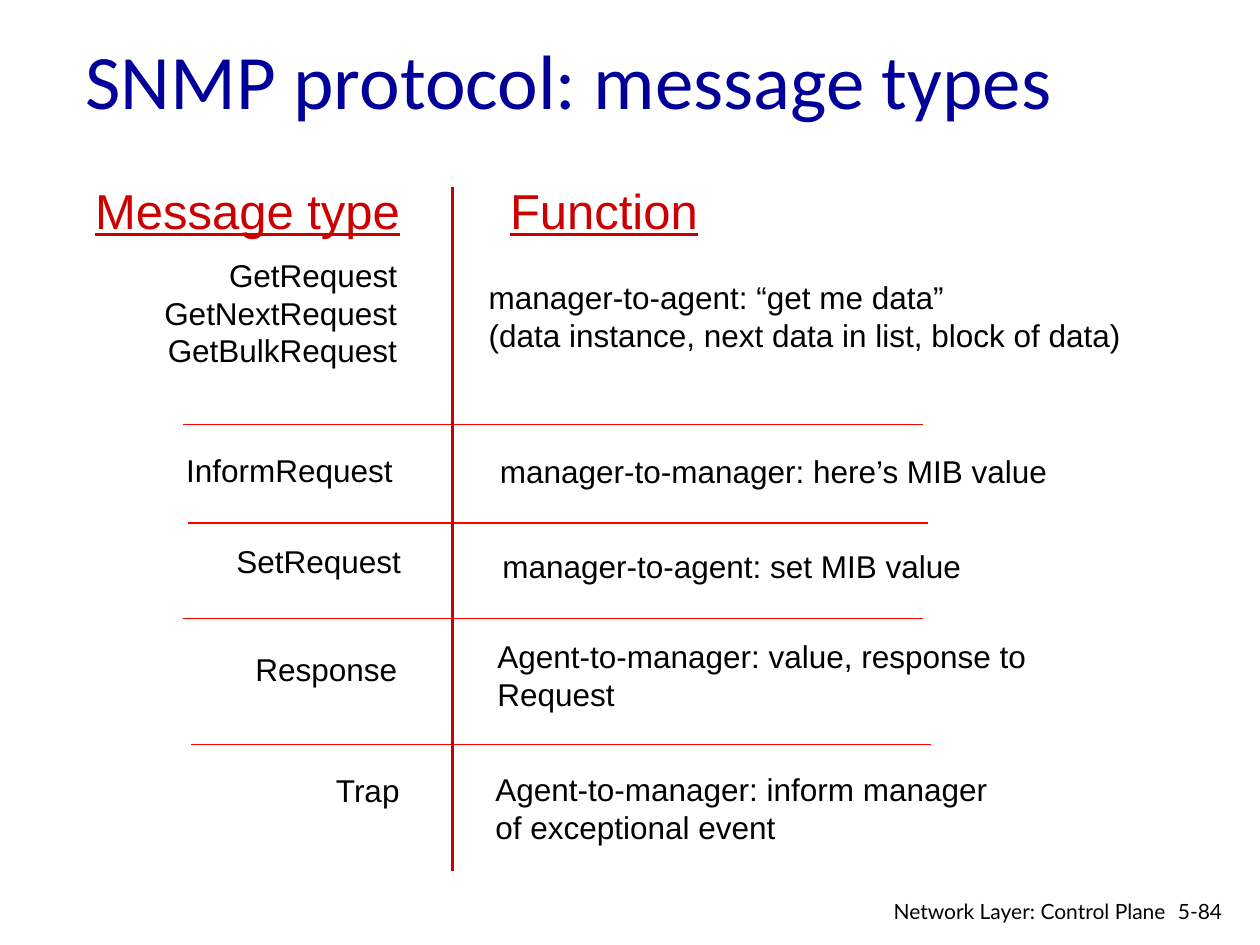
import pptx
import pptx.dml.color
import pptx.enum.shapes
import pptx.enum.text
import pptx.oxml.ns
import pptx.util
from lxml import etree

Pt = pptx.util.Pt
ALIGN = pptx.enum.text.PP_ALIGN
ANCHOR = pptx.enum.text.MSO_ANCHOR

COLORS = {
    "title": "000099",
    "heading": "CC0000",
    "body": "000000",
    "divider": "FF0000",
}


class SlideWriter:
    """Holds the current slide and its style."""

    def __init__(self, slide):
        self.slide = slide

    def color(self, name):
        return pptx.dml.color.RGBColor.from_string(COLORS[name])

    def text(self, lines, left, top, width, height, size=18, font="Arial",
             color="body", align=ALIGN.LEFT, anchor=ANCHOR.TOP, underline=None):
        box = self.slide.shapes.add_textbox(Pt(left), Pt(top), Pt(width), Pt(height))
        frame = box.text_frame
        frame.word_wrap = True
        frame.vertical_anchor = anchor
        frame.text = "\n".join(lines)
        for para in frame.paragraphs:
            para.alignment = align
            for span in para.runs:
                span.font.size = Pt(size)
                span.font.name = font
                span.font.underline = underline
                span.font.color.rgb = self.color(color)

    def heading(self, label, left, width, align):
        self.text([label], left, 99.4, width, 41, size=28, color="heading",
                  align=align, underline=True)

    def line(self, left, top, right, bottom, color, width):
        line = self.slide.shapes.add_connector(
            pptx.enum.shapes.MSO_CONNECTOR.STRAIGHT,
            Pt(left), Pt(top), Pt(right), Pt(bottom))
        line.line.color.rgb = self.color(color)
        line.line.width = Pt(width)
        etree.SubElement(line._element.spPr, pptx.oxml.ns.qn("a:effectLst"))


# Message lines, right edge, top; function lines, left edge, top, width
ROWS = [
    (["GetRequest", "GetNextRequest", "GetBulkRequest"], 234, 142.6,
     ["manager-to-agent: “get me data”",
      "(data instance, next data in list, block of data)"], 272.2, 155.5, 380),
    (["InformRequest"], 231.5, 254.2,
     ["manager-to-manager: here’s MIB value"], 278.6, 255, 355),
    (["SetRequest"], 236.2, 306,
     ["manager-to-agent: set MIB value"], 280, 309, 336),
    (["Response"], 234, 368,
     ["Agent-to-manager: value, response to", "Request"], 277.2, 360.7, 333),
    (["Trap"], 235.4, 437,
     ["Agent-to-manager: inform manager", "of exceptional event"], 276, 436.5, 377),
]
MESSAGE_WIDTH = 203
LINE_HEIGHT = 22

# Left end and height of each divider
DIVIDERS = [(104.6, 242.6), (107.3, 298.8), (104.6, 353.5), (109.2, 425.5)]
DIVIDER_LENGTH = 423


def main():
    deck = pptx.Presentation()
    deck.slide_width, deck.slide_height = Pt(720), Pt(540)
    page = SlideWriter(deck.slides.add_slide(deck.slide_layouts[6]))

    # Title and column headings
    page.text(["SNMP protocol: message types"], 41.8, 0, 612, 90, size=44,
              font="Calibri", color="title", anchor=ANCHOR.MIDDLE)
    page.heading("Message type", 44.6, 191, ALIGN.RIGHT)
    page.heading("Function", 284.4, 123, ALIGN.LEFT)

    # Message types with their functions
    for message, right, message_top, function, left, function_top, width in ROWS:
        page.text(message, right - MESSAGE_WIDTH, message_top, MESSAGE_WIDTH,
                  LINE_HEIGHT * len(message) + 7, align=ALIGN.RIGHT)
        page.text(function, left, function_top, width,
                  LINE_HEIGHT * len(function) + 7)

    # Row dividers and column rule
    for left, top in DIVIDERS:
        page.line(left, top, left + DIVIDER_LENGTH, top, "divider", 1)
    page.line(258.5, 106.6, 258.5, 497.5, "heading", 2)

    # Footer
    page.text(["5-84"], 666, 509.8, 43.2, 21.6, size=12, font="Lato")
    page.text(["Network Layer: Control Plane"], 501.8, 509.8, 171.4, 18.7,
              size=12, font="Lato", align=ALIGN.RIGHT)

    deck.save("out.pptx")


if __name__ == "__main__":
    main()
